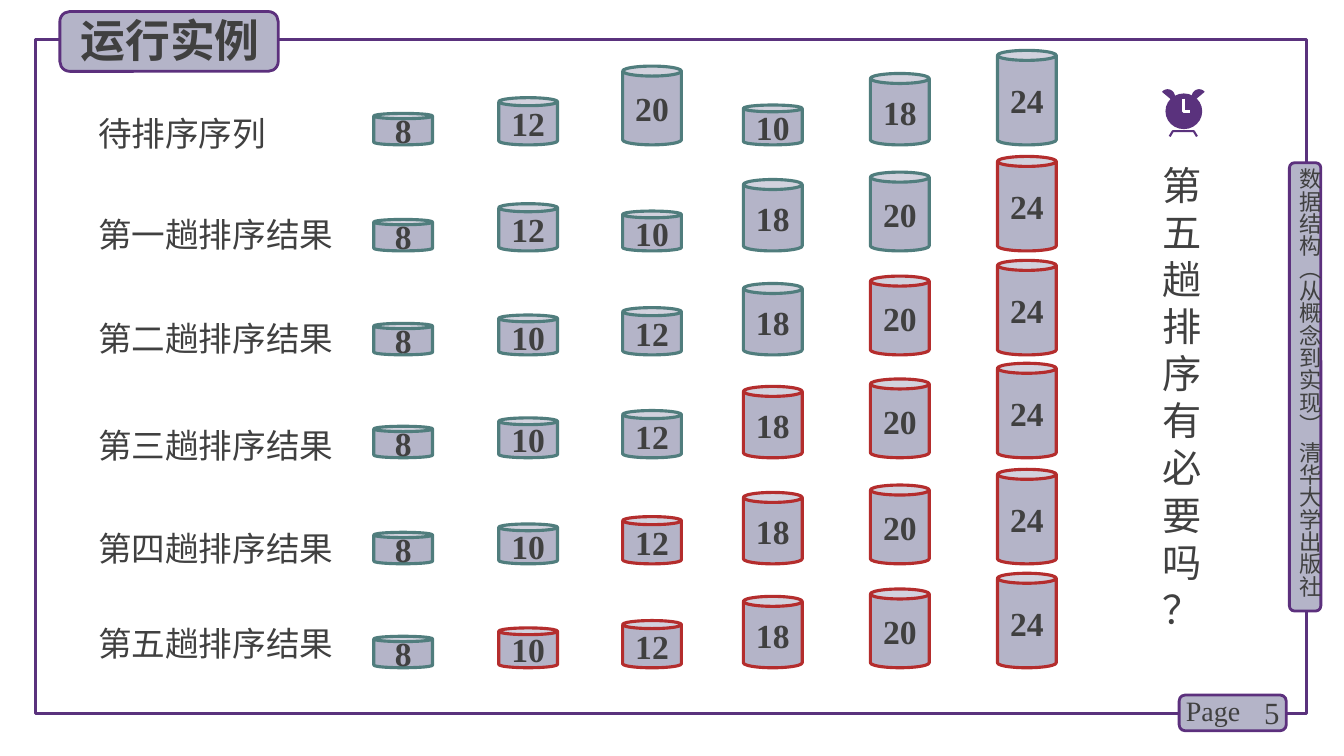
import math

import lxml.etree
import pptx
import pptx.dml.color
import pptx.enum.shapes
import pptx.enum.text
import pptx.oxml.ns
import pptx.util

PX = 9525
SHAPE = pptx.enum.shapes.MSO_SHAPE
ALIGN = pptx.enum.text.PP_ALIGN
ANCHOR = pptx.enum.text.MSO_ANCHOR
CHINESE = "Noto Sans CJK SC"
LATIN = "Times New Roman"


def px(*lengths):
    return [pptx.util.Emu(length * PX) for length in lengths]


def color(hex_string):
    return pptx.dml.color.RGBColor.from_string(hex_string)


class Painter:
    ink = "404040"
    panel = "B4B4C8"
    purple = "5A327D"
    border = "5C307D"
    unsorted = "507D7D"
    settled = "B42D2D"

    def __init__(self, page):
        self.page = page

    def fill_text(self, box, text, size=24, font=CHINESE, bold=False, align=ALIGN.LEFT,
                  anchor=ANCHOR.TOP, wrap=True, vertical=False, inset=None):
        frame = box.text_frame
        frame.word_wrap = wrap
        frame.auto_size = pptx.enum.text.MSO_AUTO_SIZE.NONE
        frame.vertical_anchor = anchor
        if inset is not None:
            frame.margin_left = frame.margin_right = inset
            frame.margin_top = frame.margin_bottom = inset
        if vertical:
            frame._txBody.bodyPr.set("vert", "eaVert")
        frame.text = text
        for para in frame.paragraphs:
            para.alignment = align
            for span in para.runs:
                span.font.size = pptx.util.Pt(size)
                span.font.bold = bold
                span.font.color.rgb = color(self.ink)
                span.font.name = font
                east_asian = lxml.etree.SubElement(
                    span.font._element, pptx.oxml.ns.qn("a:ea"))
                east_asian.set("typeface", font)

    def text(self, left, top, width, height, words, **style):
        box = self.page.shapes.add_textbox(*px(left, top, width, height))
        self.fill_text(box, words, **style)

    def title(self, left, top, width, height, words, **style):
        """Fill the title placeholder and bring it to the front."""
        box = self.page.shapes.title
        box.left, box.top, box.width, box.height = px(left, top, width, height)
        self.fill_text(box, words, **style)
        self.page.shapes.element.append(box.element)

    def paint(self, shape, fill, line, weight):
        shape.shadow.inherit = False
        if fill:
            shape.fill.solid()
            shape.fill.fore_color.rgb = color(fill)
        else:
            shape.fill.background()
        if line:
            shape.line.color.rgb = color(line)
            shape.line.width = pptx.util.Pt(weight)
        else:
            shape.line.fill.background()

    def shape(self, kind, left, top, width, height, fill=None, line=None, weight=2.25):
        shape = self.page.shapes.add_shape(kind, *px(left, top, width, height))
        self.paint(shape, fill, line, weight)
        return shape

    def badge(self, left, top, width, height):
        self.shape(SHAPE.ROUNDED_RECTANGLE, left, top, width, height,
                   self.panel, self.border, 2)

    def can(self, left, bottom, value, line):
        """Draw a can whose height is proportional to its value."""
        height = round(value * 3.77)
        can = self.shape(SHAPE.CAN, left, bottom - height, 56, height, self.panel, line)
        can.adjustments[0] = 0.17
        self.fill_text(can, str(value), font=LATIN, bold=True, align=ALIGN.CENTER,
                       anchor=ANCHOR.MIDDLE, wrap=False)

    def outline(self, points, closed=False, fill=None, line=None, weight=1.5):
        fine = [(x * 100, y * 100) for x, y in points]
        builder = self.page.shapes.build_freeform(*fine[0], scale=PX / 100)
        builder.add_line_segments(fine[1:], close=closed)
        self.paint(builder.convert_to_shape(), fill, line, weight)

    def clock(self, middle):
        self.outline([(middle - 13, 130), (middle - 10, 125),
                      (middle + 10, 125), (middle + 13, 130)], line=self.purple)
        for side in (-1, 1):
            bell = [(middle + side * (15 - 7 * math.cos(angle)), 92 + 7 * math.sin(angle))
                    for angle in map(math.radians, range(-220, -30, 10))]
            bell = [(2 * (middle + side * 15) - x, y) for x, y in bell]
            self.outline(bell, closed=True, fill=self.purple)
        self.shape(SHAPE.OVAL, middle - 17, 89, 35, 34, self.purple)
        self.outline([(middle, 94), (middle, 106), (middle + 6, 106)], line="FFFFFF", weight=2)


def bubble_passes(values):
    """Return the sequence at the start and after each bubble sort pass."""
    states = [list(values)]
    for last in range(len(values) - 1, 0, -1):
        state = list(states[-1])
        for i in range(last):
            if state[i] > state[i + 1]:
                state[i], state[i + 1] = state[i + 1], state[i]
        states.append(state)
    return states


def main():
    deck = pptx.Presentation()
    deck.slide_width, deck.slide_height = px(1280, 720)
    painter = Painter(deck.slides.add_slide(deck.slide_layouts[5]))

    painter.shape(SHAPE.RECTANGLE, 34, 38, 1210, 642, line=painter.purple)
    painter.badge(1228, 155, 30, 427)
    painter.text(1234, 160, 26, 431, "数据结构（从概念到实现） 清华大学出版社",
                 size=16, vertical=True, inset=0)
    painter.badge(1123, 662, 102, 34)
    painter.text(1171, 659, 57, 38, "5", size=22, font=LATIN,
                 align=ALIGN.RIGHT, anchor=ANCHOR.MIDDLE)
    painter.text(1120, 656, 75, 42, "Page", size=20, font=LATIN)
    painter.badge(57, 11, 208, 57)
    painter.title(67, 7, 202, 61, "运行实例", size=32, bold=True)

    labels = ["待排序序列"] + [f"第{number}趟排序结果" for number in "一二三四五"]
    label_tops = [103, 199, 298, 400, 498, 589]
    can_bottoms = [138, 239, 338, 436, 537, 636]
    can_lefts = [356, 475, 593, 708, 829, 950]
    states = bubble_passes([8, 12, 20, 10, 18, 24])
    for done, (label, top, bottom, state) in enumerate(
            zip(labels, label_tops, can_bottoms, states)):
        painter.text(84, top, 281, 48, label)
        for column, (left, value) in enumerate(zip(can_lefts, state)):
            is_settled = column >= len(state) - done
            painter.can(left, bottom, value,
                        painter.settled if is_settled else painter.unsorted)

    painter.clock(1127)
    painter.text(1098, 149, 58, 462, "第\n五趟排序有必要吗\n？", size=28)
    deck.save("out.pptx")


if __name__ == "__main__":
    main()
